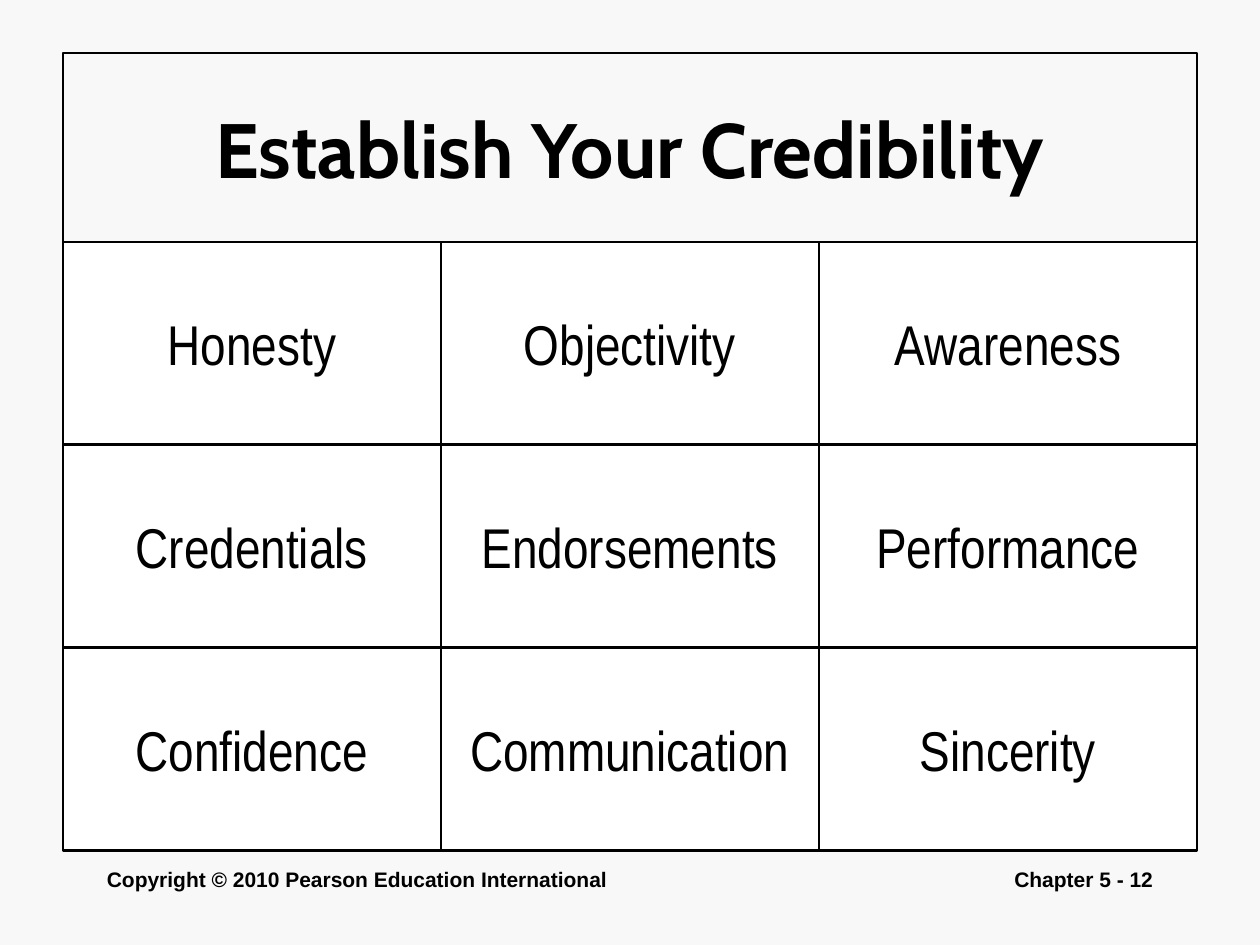
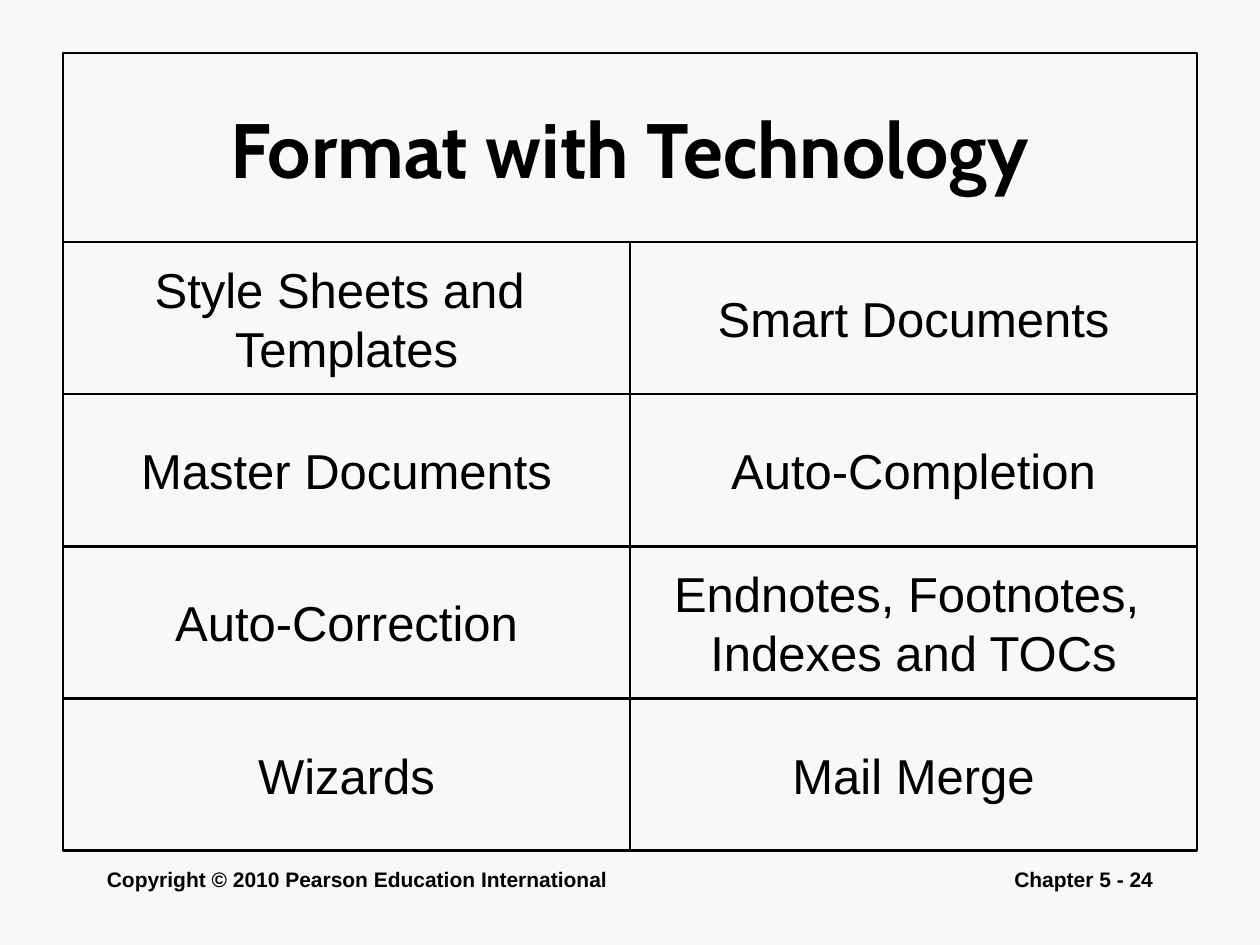
"""Builds two framed grid slides that share a title band and a footer."""
from dataclasses import dataclass

from pptx import Presentation, util as u
from pptx.dml.color import RGBColor
from pptx.enum import shapes, text

COPYRIGHT = "Copyright © 2010 Pearson Education International"
SLIDES = [
    {
        "title": "Establish Your Credibility",
        "page": "Chapter 5 - 12",
        "font": "Arial Narrow", "size": 32, "fill": "FFFFFF",
        "rows": [
            ("Honesty", "Objectivity", "Awareness"),
            ("Credentials", "Endorsements", "Performance"),
            ("Confidence", "Communication", "Sincerity"),
        ],
    },
    {
        "title": "Format with Technology",
        "page": "Chapter 5 - 24",
        "font": "Arial", "size": 28, "fill": None,
        "rows": [
            ("Style Sheets and \nTemplates", "Smart Documents"),
            ("Master Documents", "Auto-Completion"),
            ("Auto-Correction", "Endnotes, Footnotes, \nIndexes and TOCs"),
            ("Wizards", "Mail Merge"),
        ],
    },
]


@dataclass(frozen=True)
class Theme:
    """Colours, fonts and type sizes."""
    background: str = "F8F8F8"
    ink: str = "000000"
    line_width: float = 1.5
    title_font: str = "Cabin"
    title_size: int = 44
    footer_font: str = "Arial"
    footer_size: int = 12


THEME = Theme()
WIDTH, HEIGHT = 10, 7.5
FRAME_LEFT, FRAME_WIDTH = 0.5, 9
TITLE_TOP, TITLE_HEIGHT = 0.42, 1.5
GRID_TOP, GRID_BOTTOM = TITLE_TOP + TITLE_HEIGHT, 6.75
FOOTER_TOP, FOOTER_HEIGHT = 6.83, 0.5


def write(shape, words, font, size, bold=False, align=text.PP_ALIGN.CENTER):
    """Fill a shape with one paragraph per line of words."""
    shape.text_frame.text = words
    for paragraph in shape.text_frame.paragraphs:
        paragraph.alignment = align
        paragraph.font.name = font
        paragraph.font.size = u.Pt(size)
        paragraph.font.bold = bold
        paragraph.font.color.rgb = RGBColor.from_string(THEME.ink)


def add_cell(slide, box, words, font, size, bold=False, fill=None):
    """Draw one outlined rectangle with centred text."""
    cell = slide.shapes.add_shape(shapes.MSO_SHAPE.RECTANGLE, *map(u.Inches, box))
    cell.shadow.inherit = False
    if fill:
        cell.fill.solid()
        cell.fill.fore_color.rgb = RGBColor.from_string(fill)
    else:
        cell.fill.background()
    cell.line.color.rgb = RGBColor.from_string(THEME.ink)
    cell.line.width = u.Pt(THEME.line_width)
    cell.text_frame.word_wrap = False
    cell.text_frame.vertical_anchor = text.MSO_ANCHOR.MIDDLE
    write(cell, words, font, size, bold)


def add_footer(slide, left, width, words, align):
    """Place one footer text."""
    box = (left, FOOTER_TOP, width, FOOTER_HEIGHT)
    footer = slide.shapes.add_textbox(*map(u.Inches, box))
    footer.text_frame.word_wrap = True
    write(footer, words, THEME.footer_font, THEME.footer_size, True, align)


def add_grid(slide, content):
    """Split the frame below the title into equal cells."""
    rows = content["rows"]
    cell_width = FRAME_WIDTH / len(rows[0])
    cell_height = (GRID_BOTTOM - GRID_TOP) / len(rows)
    for row, labels in enumerate(rows):
        for column, label in enumerate(labels):
            box = (FRAME_LEFT + column * cell_width, GRID_TOP + row * cell_height,
                   cell_width, cell_height)
            add_cell(slide, box, label, content["font"], content["size"],
                     fill=content["fill"])


def add_slide(presentation, content):
    """Add a slide with footer, title band and grid."""
    slide = presentation.slides.add_slide(presentation.slide_layouts[6])
    slide.background.fill.solid()
    slide.background.fill.fore_color.rgb = RGBColor.from_string(THEME.background)
    add_footer(slide, 0.75, 6.17, COPYRIGHT, text.PP_ALIGN.LEFT)
    add_footer(slide, 7.17, 2.08, content["page"], text.PP_ALIGN.RIGHT)
    add_cell(slide, (FRAME_LEFT, TITLE_TOP, FRAME_WIDTH, TITLE_HEIGHT),
             content["title"], THEME.title_font, THEME.title_size, bold=True)
    add_grid(slide, content)


def main():
    """Build and save the presentation."""
    presentation = Presentation()
    presentation.slide_width = u.Inches(WIDTH)
    presentation.slide_height = u.Inches(HEIGHT)
    for content in SLIDES:
        add_slide(presentation, content)
    presentation.save("out.pptx")


if __name__ == "__main__":
    main()
